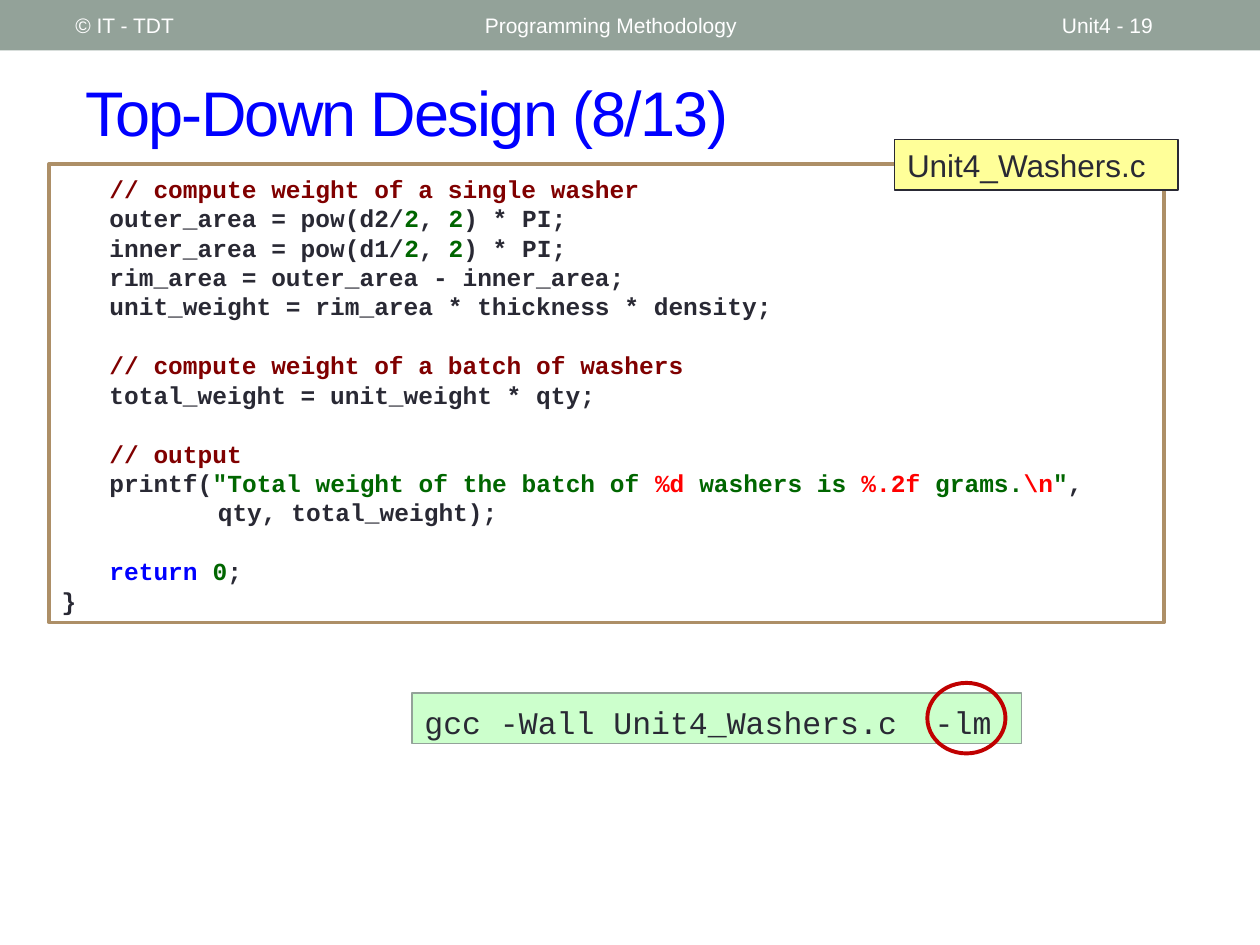
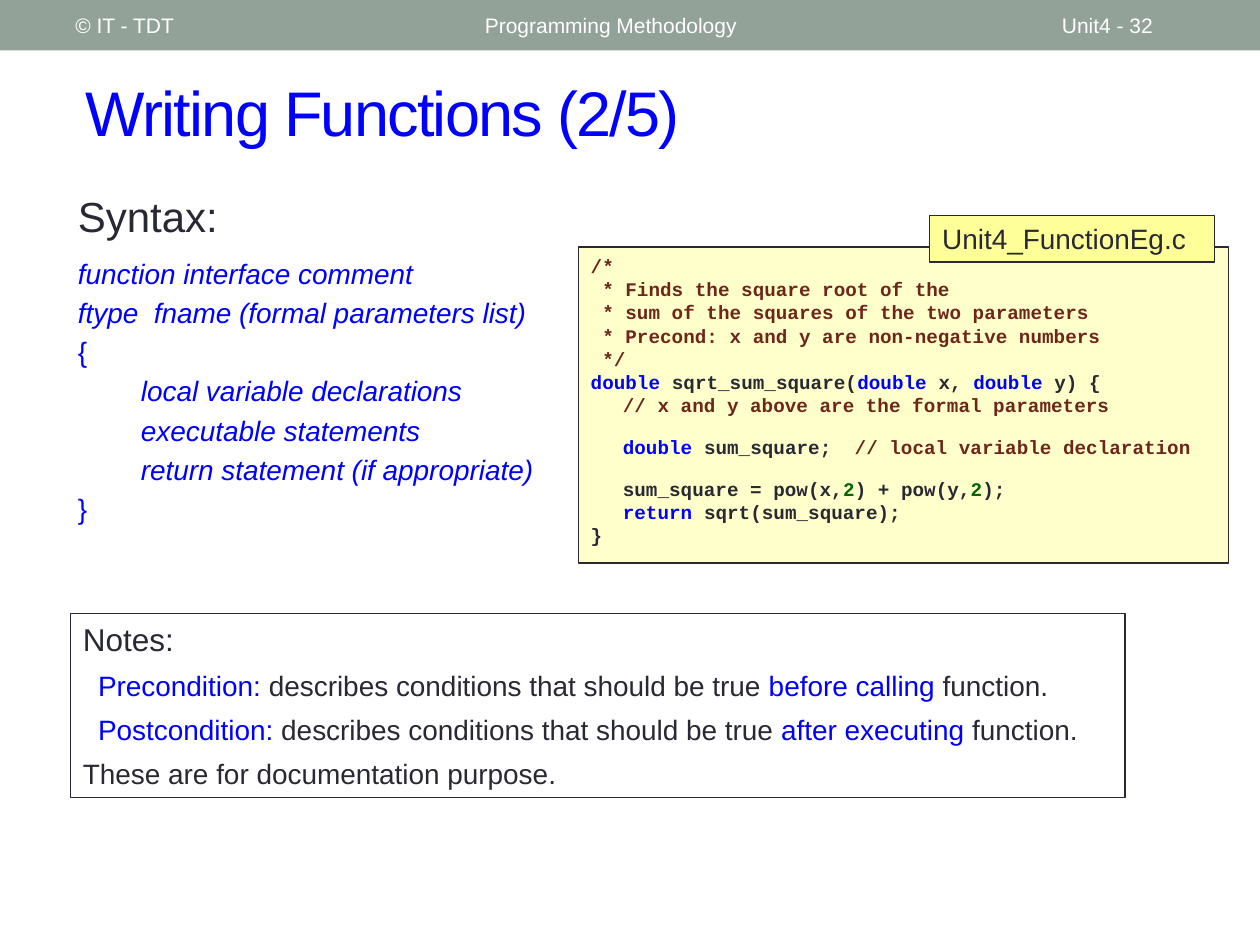
import pptx
import pptx.dml.color
import pptx.enum.shapes
import pptx.enum.text
import pptx.util

RGB = pptx.dml.color.RGBColor
Pt = pptx.util.Pt
Shape = pptx.enum.shapes.MSO_SHAPE
Anchor = pptx.enum.text.MSO_ANCHOR

SAGE = RGB(0x93, 0xA2, 0x99)
WHITE = RGB(0xFF, 0xFF, 0xFF)
INK = RGB(0x29, 0x29, 0x34)
BLUE = RGB(0x00, 0x00, 0xFF)
GREEN = RGB(0x00, 0x66, 0x00)
RED = RGB(0xFF, 0x00, 0x00)
MAROON = RGB(0x80, 0x00, 0x00)
RUST = RGB(0x6E, 0x26, 0x19)
RING = RGB(0xC0, 0x00, 0x00)
TAN = RGB(0xAD, 0x8F, 0x67)
LEMON = RGB(0xFF, 0xFF, 0x99)
CREAM = RGB(0xFF, 0xFF, 0xCC)
MINT = RGB(0xCC, 0xFF, 0xCC)

SANS, MONO = "Arial", "Courier New"
LEAD = 1.2  # line height as a share of the text size

deck = pptx.Presentation()
deck.slide_width = pptx.util.Inches(10)
deck.slide_height = pptx.util.Inches(7.5)
COL = deck.slide_width / 100  # the grid has 100 columns
ROW = deck.slide_height / 75  # and 75 rows


def draw(slide, place, fill=None, line=None, width=0.75, kind=Shape.RECTANGLE):
    """Add a shape at (column, row, columns, rows) and return it."""
    x, y, w, h = place
    shape = slide.shapes.add_shape(
        kind, int(x * COL), int(y * ROW), int(w * COL), int(h * ROW))
    shape.shadow.inherit = False
    if fill is None:
        shape.fill.background()
    else:
        shape.fill.solid()
        shape.fill.fore_color.rgb = fill
    if line is None:
        shape.line.fill.background()
    else:
        shape.line.color.rgb = line
        shape.line.width = Pt(width)
    return shape


def write(shape, lines, size, face=SANS, bold=False, top=0.5, anchor=Anchor.TOP):
    """Fill a shape with lines of (indent in columns, space before, runs)."""
    frame = shape.text_frame
    frame.word_wrap = True
    frame.vertical_anchor = anchor
    frame.margin_top = int(top * ROW)
    for n, (indent, gap, runs) in enumerate(lines):
        para = frame.paragraphs[0] if n == 0 else frame.add_paragraph()
        para.alignment = pptx.enum.text.PP_ALIGN.LEFT
        para.line_spacing = Pt(LEAD * size)
        para.space_before = Pt(gap)
        if indent:
            props = para._p.get_or_add_pPr()
            props.set("marL", str(int(indent * COL)))
            props.set("indent", "0")
        para.font.name = face
        para.font.size = Pt(size)
        para.font.bold = bold
        for text, hue in runs:
            run = para.add_run()
            run.text = text
            run.font.color.rgb = hue


# Shared band, header and title
pages = []
for name, page in (("Top-Down Design (8/13)", 19), ("Writing Functions (2/5)", 32)):
    slide = deck.slides.add_slide(deck.slide_layouts[5])
    pages.append(slide)
    draw(slide, (0, 0, 100, 4), SAGE)
    for x, w, text in ((37.5, 45, "Programming Methodology"),
                       (83.3, 11.7, f"Unit4 - {page}"),
                       (5, 31.7, "© IT - TDT")):
        write(draw(slide, (x, 0.2, w, 3.6)), [(0, 0, [(text, WHITE)])], 12,
              anchor=Anchor.MIDDLE)
    title = slide.shapes.title
    title.left, title.top = int(5.8 * COL), int(4.2 * ROW)
    title.width, title.height = int(91.7 * COL), int(9.2 * ROW)
    frame = title.text_frame
    frame.text = name
    frame.auto_size = pptx.enum.text.MSO_AUTO_SIZE.NONE
    frame.vertical_anchor = Anchor.MIDDLE
    para = frame.paragraphs[0]
    para.alignment = pptx.enum.text.PP_ALIGN.LEFT
    para.font.name = SANS
    para.font.size = Pt(36)
    para.font.color.rgb = BLUE
    para.runs[0].font._element.set("spc", "-100")

wash, func = pages

# Washer program
TAB = 3.8
SKIP = LEAD * 14
code = [(TAB, 0, [("// compute weight of a single washer", MAROON)])]
for area, size in (("outer", "d2"), ("inner", "d1")):
    code.append((TAB, 0, [(f"{area}_area = pow({size}/", INK), ("2", GREEN),
                          (", ", INK), ("2", GREEN), (") * PI;", INK)]))
code += [
    (TAB, 0, [("rim_area = outer_area - inner_area;", INK)]),
    (TAB, 0, [("unit_weight = rim_area * thickness * density;", INK)]),
    (TAB, SKIP, [("// compute weight of a batch of washers", MAROON)]),
    (TAB, 0, [("total_weight = unit_weight * qty;", INK)]),
    (TAB, SKIP, [("// output", MAROON)]),
    (TAB, 0, [("printf(", INK), ('"Total weight of the batch of ', GREEN),
              ("%d ", RED), ("washers is ", GREEN), ("%.2f ", RED),
              ("grams.", GREEN), ("\\n", RED), ('"', GREEN), (",", INK)]),
    (12.4, 0, [("qty, total_weight);", INK)]),
    (TAB, SKIP, [("return ", BLUE), ("0", GREEN), (";", INK)]),
    (0, 0, [("}", INK)]),
]
write(draw(wash, (3.9, 13, 88.5, 36.4), WHITE, TAN, 2.08), code, 14, MONO, True, 0.8)
write(draw(wash, (71, 11.1, 22.5, 4), LEMON, INK),
      [(0, 0, [("Unit4_Washers.c", INK)])], 18)
write(draw(wash, (32.7, 55, 48.4, 4), MINT, SAGE),
      [(0, 0, [("gcc -Wall Unit4_Washers.c  -lm", INK)])], 18, MONO, top=0.8)
draw(wash, (73.6, 54.2, 6.2, 5.6), None, RING, 2.25, Shape.OVAL)

# Syntax of a function
form = [(0, 0, [("Syntax:", INK)])]
for n, (indent, text) in enumerate((
        (0, "function interface comment"),
        (0, "ftype  fname (formal parameters list)"),
        (0, "{"),
        (5, "local variable declarations"),
        (5, "executable statements"),
        (5, "return statement (if appropriate)"),
        (0, "}"))):
    form.append((indent, 3.2 if n else 9, [(text, BLUE)]))
body = draw(func, (5.2, 14.6, 53.6, 31.7))
write(body, form, 16)
head, *rest = body.text_frame.paragraphs
head.font.size = Pt(24)
head.line_spacing = Pt(LEAD * 24)
for para in rest:
    para.font.italic = para.text not in "{}"

# Example function
TAB = 2.55
SKIP = LEAD * 9
code = [(0, 0, [(text, RUST)]) for text in (
    "/*",
    " * Finds the square root of the",
    " * sum of the squares of the two parameters",
    " * Precond: x and y are non-negative numbers",
    " */")]
code += [
    (0, 0, [("double ", BLUE), ("sqrt_sum_square(", INK), ("double ", BLUE),
            ("x, ", INK), ("double", BLUE), (" y) {", INK)]),
    (TAB, 0, [("// x and y above are the formal parameters", RUST)]),
    (TAB, SKIP, [("double ", BLUE), ("sum_square;  ", INK),
                 ("// local variable declaration", RUST)]),
    (TAB, SKIP, [("sum_square = pow(x,", INK), ("2", GREEN),
                 (") + pow(y,", INK), ("2", GREEN), (");", INK)]),
    (TAB, 0, [("return ", BLUE), ("sqrt(sum_square);", INK)]),
    (0, 0, [("}", INK)]),
]
write(draw(func, (45.9, 19.6, 51.6, 25.1), CREAM, INK), code, 11, MONO, True, 0.6)
write(draw(func, (73.8, 17.1, 22.6, 3.7), LEMON, INK),
      [(0, 0, [("Unit4_FunctionEg.c", INK)])], 16)

# Notes
notes = [(0, 0, [("Notes:", INK)])]
for term, time in (("Precondition: ", "before calling "),
                   ("Postcondition: ", "after executing ")):
    notes.append((1.2, 6, [(term, BLUE),
                           ("describes conditions that should be true ", INK),
                           (time, BLUE), ("function.", INK)]))
notes.append((0, 6, [("These are for documentation purpose.", INK)]))
box = draw(func, (5.6, 48.7, 83.7, 14.6), None, INK)
write(box, notes, 16)
head = box.text_frame.paragraphs[0]
head.font.size = Pt(18)
head.line_spacing = Pt(LEAD * 18)

deck.save("out.pptx")
